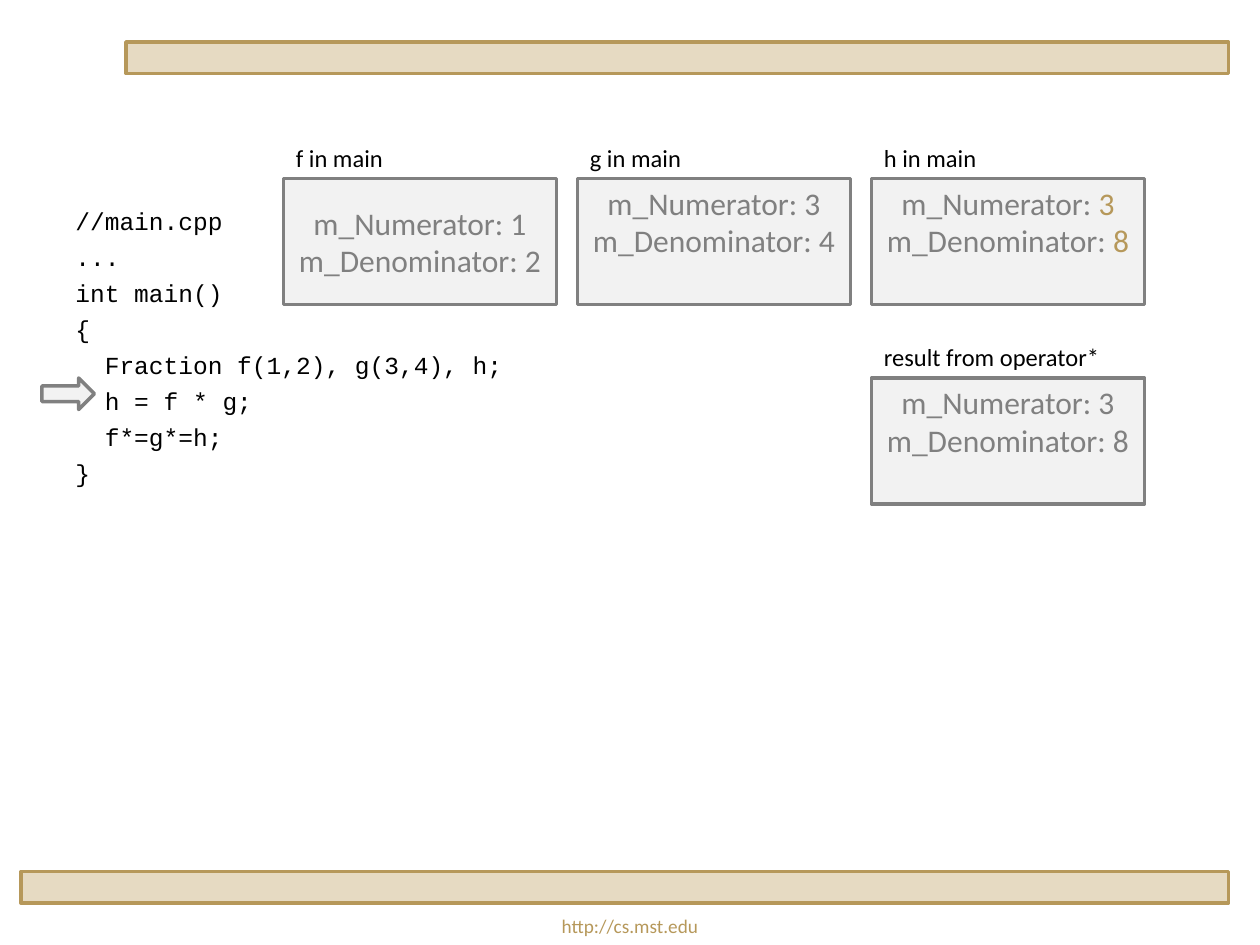
from pptx import Presentation
from pptx.dml.color import RGBColor
from pptx.enum.shapes import MSO_SHAPE
from pptx.enum.text import MSO_ANCHOR, PP_ALIGN
from pptx.util import Pt

GOLD = RGBColor(0xB6, 0x98, 0x5A)
SAND = RGBColor(0xE6, 0xDA, 0xC2)
GREY = RGBColor(0x80, 0x80, 0x80)
PALE = RGBColor(0xF2, 0xF2, 0xF2)
BLACK = RGBColor(0, 0, 0)

CODE = [
    "//main.cpp",
    "...",
    "int main()",
    "{",
    "  Fraction f(1,2), g(3,4), h;",
    "  h = f * g;",
    "  f*=g*=h;",
    "}",
]
FIELDS = ("m_Numerator: ", "m_Denominator: ")
FRACTIONS = [
    ("f in main", (1, 2), 0, 0, GREY, MSO_ANCHOR.MIDDLE),
    ("g in main", (3, 4), 1, 0, GREY, MSO_ANCHOR.TOP),
    ("h in main", (3, 8), 2, 0, GOLD, MSO_ANCHOR.TOP),
    ("result from operator*", (3, 8), 2, 1, GREY, MSO_ANCHOR.TOP),
]
BARS = [(72, 24, 630), (12, 498, 690)]
FOOTER = "http://cs.mst.edu"

LEFT, TOP = 162, 102
COLUMN_STEP, ROW_STEP = 168, 114
BOX_WIDTH, BOX_HEIGHT, LABEL_HEIGHT = 156, 72, 24


def style(span, size, color, name="Calibri"):
    span.font.size = Pt(size)
    span.font.name = name
    span.font.color.rgb = color


def add_box(page, kind, place, fill, line):
    box = page.shapes.add_shape(kind, *map(Pt, place))
    box.shadow.inherit = False
    box.fill.solid()
    box.fill.fore_color.rgb = fill
    box.line.color.rgb = line
    box.line.width = Pt(2)
    return box


def add_text(page, place, text, size, color, name="Calibri", wrap=True):
    box = page.shapes.add_textbox(*map(Pt, place))
    box.text_frame.word_wrap = wrap
    box.text_frame.text = text
    for para in box.text_frame.paragraphs:
        for span in para.runs:
            style(span, size, color, name)
    return box


def add_fraction(page, label, values, column, row, value_color, anchor):
    left, top = LEFT + column * COLUMN_STEP, TOP + row * ROW_STEP
    box = add_box(page, MSO_SHAPE.RECTANGLE, (left, top, BOX_WIDTH, BOX_HEIGHT), PALE, GREY)
    frame = box.text_frame
    frame.word_wrap = True
    frame.vertical_anchor = anchor
    frame.margin_top = frame.margin_bottom = Pt(3)
    frame.text = "\n".join(FIELDS)
    for para, value in zip(frame.paragraphs, values):
        para.alignment = PP_ALIGN.CENTER
        style(para.runs[0], 18, GREY)
        span = para.add_run()
        span.text = str(value)
        style(span, 18, value_color)
    add_text(page, (left, top - LABEL_HEIGHT, BOX_WIDTH, LABEL_HEIGHT), label, 14, BLACK, wrap=False)


def main():
    deck = Presentation()
    deck.slide_width, deck.slide_height = Pt(720), Pt(540)
    page = deck.slides.add_slide(deck.slide_layouts[6])

    for left, top, width in BARS:
        add_box(page, MSO_SHAPE.RECTANGLE, (left, top, width, 18), SAND, GOLD)
    footer = add_text(page, (0, 519, 720, 21), FOOTER, 11, GOLD)
    footer.text_frame.paragraphs[0].alignment = PP_ALIGN.CENTER

    code = add_text(page, (36, 114, 660, 366), "\n".join(CODE), 14, BLACK, "Courier New")
    for para in code.text_frame.paragraphs[1:]:
        para.space_before = Pt(3.8)
    add_box(page, MSO_SHAPE.RIGHT_ARROW, (24, 216, 30, 18), PALE, GREY)

    for fraction in FRACTIONS:
        add_fraction(page, *fraction)
    deck.save("out.pptx")


if __name__ == "__main__":
    main()
